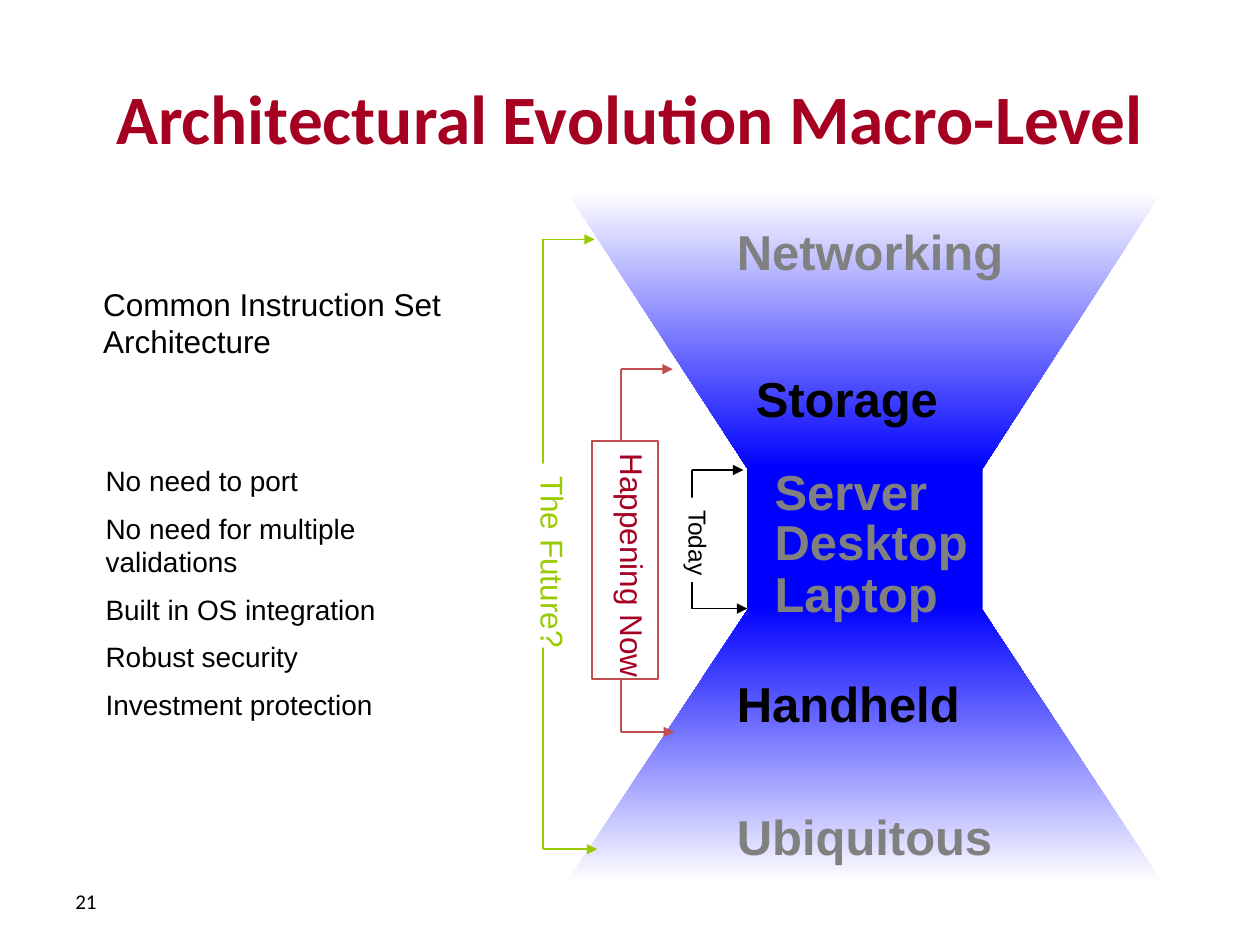
from lxml import etree
from pptx import Presentation
from pptx.dml.color import RGBColor
from pptx.enum import shapes, text
from pptx.oxml.ns import qn
from pptx.util import Inches, Pt

BLUE, WHITE, BLACK, GRAY = "0000FF", "FFFFFF", "000000", "808080"
CRIMSON, RED, GREEN = "A50021", "C0504D", "99CC00"


def rgb(value):
    return RGBColor.from_string(value)


def write(shape, *lines, size, color=BLACK, font="Arial", bold=False, wrap=True,
          anchor=text.MSO_ANCHOR.TOP, align=text.PP_ALIGN.LEFT, gap=0):
    """Fill the shape with one paragraph per line, gap points apart."""
    frame = shape.text_frame
    frame.word_wrap = wrap
    frame.vertical_anchor = anchor
    for index, line in enumerate(lines):
        paragraph = frame.add_paragraph() if index else frame.paragraphs[0]
        paragraph.text = line
        paragraph.alignment = align
        paragraph.space_before = Pt(gap if index else 0)
        paragraph.font.size = Pt(size)
        paragraph.font.name = font
        paragraph.font.bold = bold
        paragraph.font.color.rgb = rgb(color)


presentation = Presentation()
presentation.slide_width = Inches(10)
presentation.slide_height = Inches(7.5)
slide = presentation.slides.add_slide(presentation.slide_layouts[6])
middle = text.MSO_ANCHOR.MIDDLE

# Page number, title and left column
box = slide.shapes.add_textbox(Inches(0.5), Inches(6.95), Inches(2.33), Inches(0.4))
write(box, "21", size=12, font="Calibri", anchor=middle)
box = slide.shapes.add_textbox(Inches(0.5), Inches(0.3), Inches(9), Inches(1.25))
write(box, "Architectural Evolution Macro-Level", size=39.6, color=CRIMSON,
      font="Calibri", bold=True, anchor=middle, align=text.PP_ALIGN.CENTER)
box = slide.shapes.add_textbox(Inches(0.72), Inches(2.21), Inches(3.03), Inches(1.3))
write(box, "Common Instruction Set Architecture", size=18)
box = slide.shapes.add_textbox(Inches(0.74), Inches(3.63), Inches(2.93), Inches(2.24))
write(box, "No need to port", "No need for multiple validations",
      "Built in OS integration", "Robust security", "Investment protection",
      size=16, gap=8)

# Hourglass: two funnels, white at the wide end, around a solid waist
funnels = [
    ([(4.5, 1.52), (5.94, 3.73), (7.79, 3.73), (9.22, 1.52)], 270),
    ([(4.5, 7), (5.96, 4.8), (7.77, 4.8), (9.22, 7)], 90),
]
for corners, angle in funnels:
    points = [(Inches(x), Inches(y)) for x, y in corners]
    builder = slide.shapes.build_freeform(*points[0])
    builder.add_line_segments(points[1:], close=True)
    funnel = builder.convert_to_shape()
    funnel.shadow.inherit = False
    funnel.line.fill.background()
    funnel.fill.gradient()
    funnel.fill.gradient_angle = angle
    for stop, color in zip(funnel.fill.gradient_stops, (WHITE, BLUE)):
        stop.color.rgb = rgb(color)

waist = slide.shapes.add_shape(shapes.MSO_SHAPE.RECTANGLE, Inches(5.93), Inches(3.68),
                               Inches(1.87), Inches(1.15))
waist.shadow.inherit = False
waist.fill.solid()
waist.fill.fore_color.rgb = rgb(BLUE)
waist.line.fill.background()

segments = [
    ("Networking", 5.75, 1.77, 2.4, 0.45, GRAY),
    ("Storage", 5.9, 2.93, 2.17, 0.45, BLACK),
    ("Server", 6.05, 3.68, 2.53, 0.43, GRAY),
    ("Desktop", 6.05, 4.08, 2.53, 0.43, GRAY),
    ("Laptop", 6.05, 4.49, 2.53, 0.43, GRAY),
    ("Handheld", 5.75, 5.35, 2.17, 0.45, BLACK),
    ("Ubiquitous", 5.75, 6.41, 2.4, 0.45, GRAY),
]
for name, left, top, width, height, color in segments:
    box = slide.shapes.add_textbox(Inches(left), Inches(top), Inches(width), Inches(height))
    write(box, name, size=28, color=color, bold=True, wrap=False, anchor=middle)

# Brackets: spine x, top, bottom, upper and lower tip; then the label on the spine
brackets = [
    ("Today", 5.49, 3.73, 4.83, 5.9, 5.93, BLACK, (5.28, 3.95, 0.43, 0.67), 14, BLACK, False),
    ("Happening Now", 4.93, 2.93, 5.81, 5.34, 5.35, RED, (4.7, 3.5, 0.52, 1.89), 18, CRIMSON, True),
    ("The Future?", 4.31, 1.9, 6.74, 4.72, 4.74, GREEN, (4.09, 3.68, 0.5, 1.46), 18, GREEN, False),
]
for (name, spine, top, bottom, upper_tip, lower_tip, line_color,
     label_place, size, text_color, framed) in brackets:
    strokes = [
        (spine, bottom, spine, top, False),
        (spine, top, upper_tip, top, True),
        (spine, bottom, lower_tip, bottom, True),
    ]
    for x1, y1, x2, y2, arrow in strokes:
        connector = slide.shapes.add_connector(
            shapes.MSO_CONNECTOR.STRAIGHT, Inches(x1), Inches(y1), Inches(x2), Inches(y2))
        connector.line.color.rgb = rgb(line_color)
        connector.line.width = Pt(1)
        if arrow:
            etree.SubElement(connector.line._get_or_add_ln(), qn("a:tailEnd"), type="triangle")
        etree.SubElement(connector._element.spPr, qn("a:effectLst"))

    label = slide.shapes.add_shape(shapes.MSO_SHAPE.RECTANGLE,
                                   *[Inches(value) for value in label_place])
    label.shadow.inherit = False
    label.fill.solid()
    label.fill.fore_color.rgb = rgb(WHITE)
    if framed:
        label.line.color.rgb = rgb(line_color)
        label.line.width = Pt(1)
    else:
        label.line.fill.background()
    write(label, name, size=size, color=text_color, wrap=False)
    label.text_frame._txBody.bodyPr.set("vert", "eaVert")

presentation.save("out.pptx")
